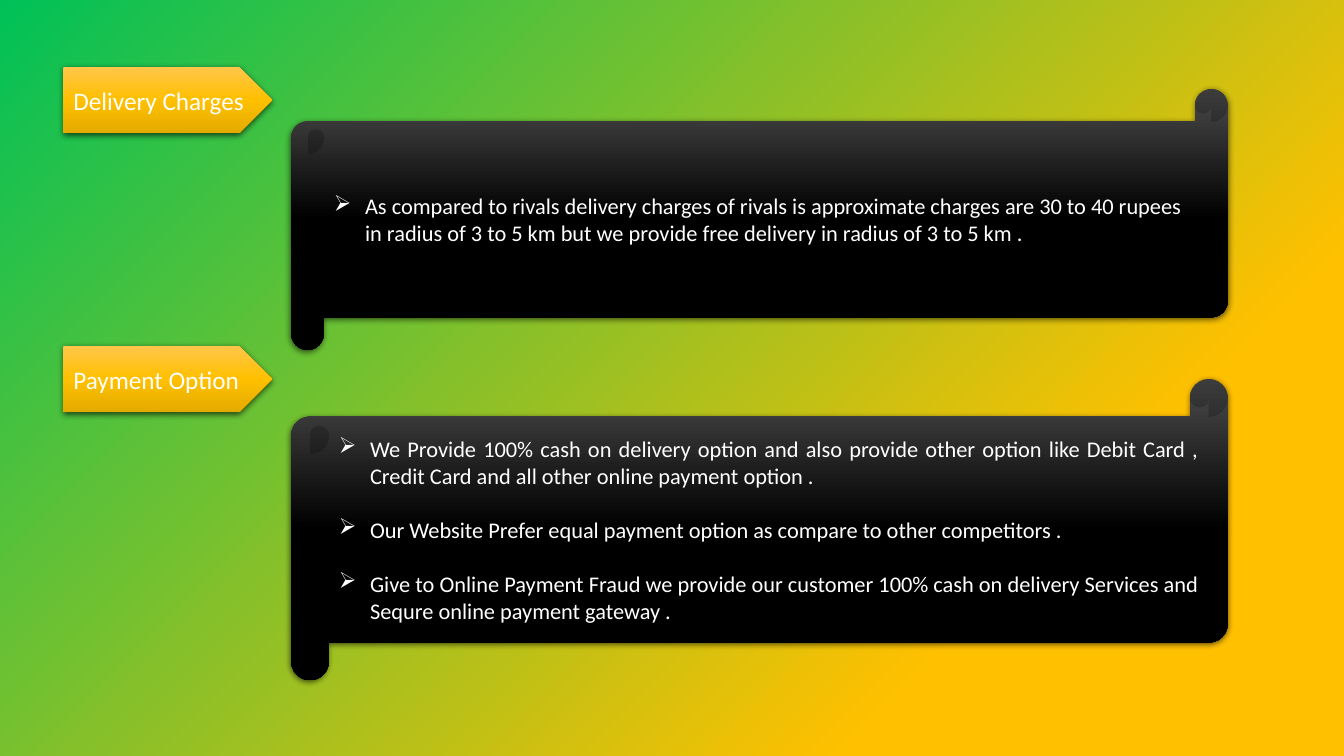
from lxml import etree
from pptx import Presentation
from pptx.dml.color import RGBColor
from pptx.enum.shapes import MSO_SHAPE
from pptx.enum.text import MSO_ANCHOR, PP_ALIGN
from pptx.oxml.ns import qn
from pptx.util import Cm, Pt

TAG, SCROLL = MSO_SHAPE.PENTAGON, MSO_SHAPE.HORIZONTAL_SCROLL
MIDDLE = MSO_ANCHOR.MIDDLE
LEFT, JUSTIFY = PP_ALIGN.LEFT, PP_ALIGN.JUSTIFY

FONT = "Calibri"
WHITE = "FFFFFF"
BACKDROP = [(0, "00C158", 95), (76, "FFC000", 100)]
GOLD = [(0, "FFC64B", 100), (50, "FFC000", 100), (100, "E3AB00", 100)]
BLACK = [(0, "4B4B4B", 100), (50, "000000", 100), (100, "000000", 100)]


def color(value):
    return RGBColor.from_string(value)


def add_color(parent, value, alpha):
    clr = etree.SubElement(parent, qn("a:srgbClr"), val=value)
    if alpha < 100:
        etree.SubElement(clr, qn("a:alpha"), val=str(alpha * 1000))


def set_gradient(fill, element, stops, angle):
    fill.gradient()
    fill.gradient_angle = angle
    stop_list = next(element.iter(qn("a:gsLst")))
    for stop in list(stop_list):
        stop_list.remove(stop)
    for position, value, alpha in stops:
        stop = etree.SubElement(stop_list, qn("a:gs"), pos=str(position * 1000))
        add_color(stop, value, alpha)


def set_shadow(sp):
    sp.shadow.inherit = False
    effects = sp.element.spPr.find(qn("a:effectLst"))
    shadow = etree.SubElement(
        effects, qn("a:outerShdw"), blurRad=str(Pt(4.5)), dist=str(Pt(1.5)),
        dir="5400000", algn="ctr", rotWithShape="0")
    add_color(shadow, "000000", 63)


def add_panel(s, kind, box, stops):
    sp = s.shapes.add_shape(kind, *(Cm(v) for v in box))
    set_gradient(sp.fill, sp.element.spPr, stops, 270)
    sp.line.fill.background()
    set_shadow(sp)
    tf = sp.text_frame
    tf.word_wrap = True
    tf.vertical_anchor = MIDDLE
    return tf


def write(p, text, size, align):
    p.text = text
    p.alignment = align
    font = p.runs[0].font
    font.name, font.size = FONT, Pt(size)
    font.color.rgb = color(WHITE)


def add_bullet(p):
    pPr = p._p.get_or_add_pPr()
    pPr.set("marL", str(Cm(0.79)))
    pPr.set("indent", str(Cm(-0.79)))
    etree.SubElement(pPr, qn("a:buChar"), char="➢")


def add_section(s, box, drop, title, points, align):
    left, top, width, height = box
    tf = add_panel(s, TAG, (left, top, 5.26, 1.68), GOLD)
    write(tf.paragraphs[0], title, 18, LEFT)

    inset = 5.74
    scroll = (left + inset, top + drop, width - inset, height - drop)
    tf = add_panel(s, SCROLL, scroll, BLACK)
    for i, point in enumerate(points):
        p = tf.add_paragraph() if i else tf.paragraphs[0]
        add_bullet(p)
        write(p, point, 16, align)
        if i:
            p.space_before = Pt(19.5)


def main():
    prs = Presentation()
    prs.slide_width, prs.slide_height = Cm(33.87), Cm(19.05)
    s = prs.slides.add_slide(prs.slide_layouts[6])
    set_gradient(s.background.fill, s.element, BACKDROP, 315)

    add_section(s, (1.6, 1.68, 29.34, 7.14), 0.56, "Delivery Charges", [
        "As compared to rivals delivery charges of rivals is approximate charges "
        "are 30 to 40 rupees in radius of 3 to 5 km but we provide free delivery "
        "in radius of 3 to 5 km .",
    ], LEFT)
    add_section(s, (1.6, 8.71, 29.34, 8.43), 0.84, "Payment Option", [
        "We Provide 100% cash on delivery option and also provide other option "
        "like Debit Card , Credit Card and all other online payment option .",
        "Our Website Prefer equal payment option as compare to other competitors .",
        "Give to Online Payment Fraud we provide our customer 100% cash on "
        "delivery Services and Sequre online payment gateway .",
    ], JUSTIFY)
    prs.save("out.pptx")


if __name__ == "__main__":
    main()
